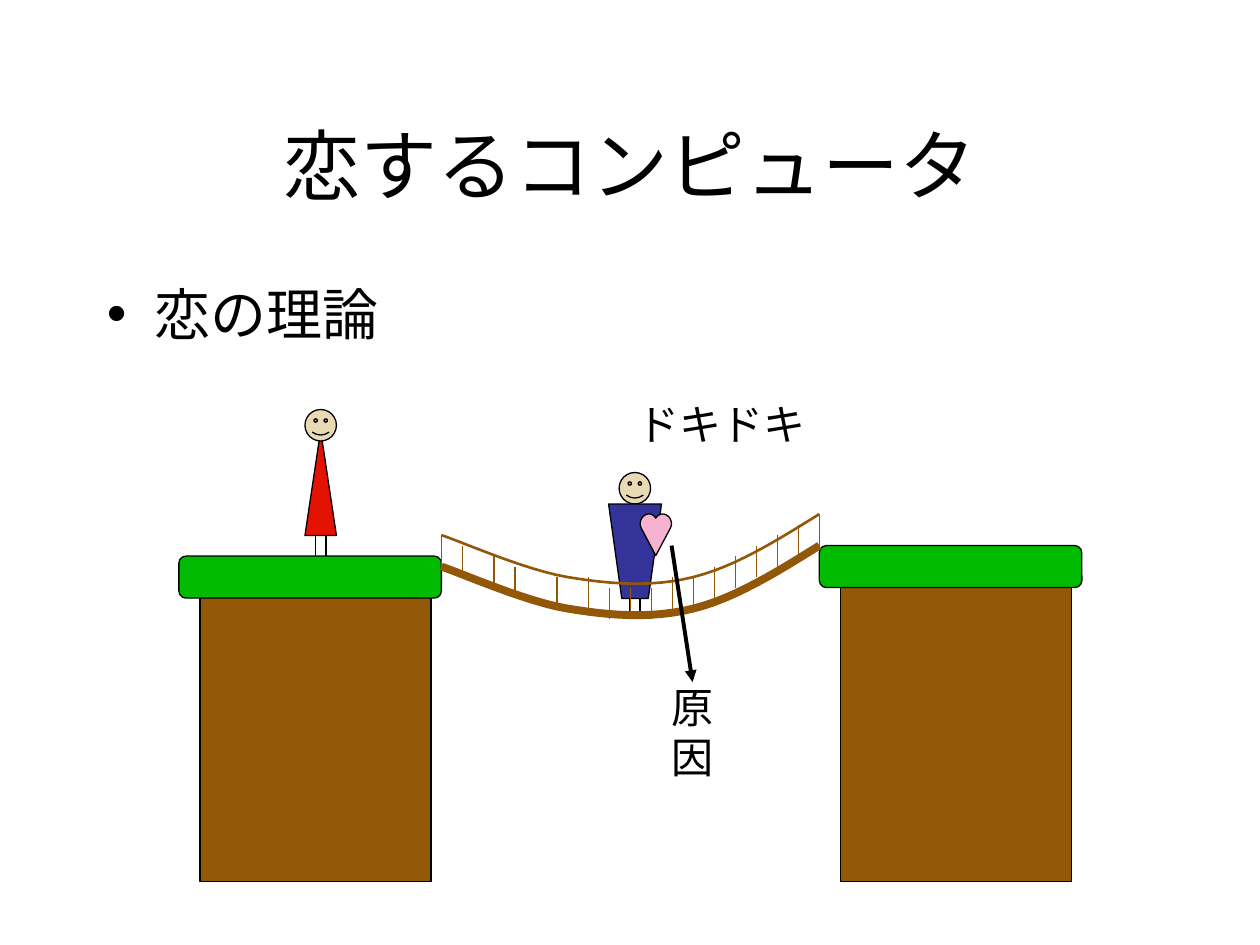
from dataclasses import dataclass

from lxml.etree import SubElement
from pptx import Presentation
from pptx.dml.color import RGBColor
from pptx.enum.lang import MSO_LANGUAGE_ID
from pptx.enum.shapes import MSO_CONNECTOR, MSO_SHAPE
from pptx.enum.text import MSO_ANCHOR, PP_ALIGN
from pptx.oxml.ns import qn
from pptx.util import Inches, Pt


@dataclass(frozen=True)
class Theme:
    font: str = "Arial"
    ink: str = "000000"
    skin: str = "E8DAB5"
    suit: str = "333399"
    dress: str = "E31202"
    grass: str = "00BB00"
    earth: str = "935708"
    heart: str = "F6B2D0"
    title: int = 44
    body: int = 32
    label: int = 24
    thin: float = 0.75
    rail: float = 1.5
    arrow: float = 2.25
    deck: float = 4.5


THEME = Theme()
UNIT = 1 / 12


@dataclass(frozen=True)
class Box:
    x: float
    y: float
    w: float
    h: float

    def inner(self, dx, dy, w, h):
        return Box(self.x + dx, self.y + dy, w, h)

    def lengths(self):
        return [Inches(v) for v in (self.x, self.y, self.w, self.h)]


def style(s, fill, line, width):
    s.shadow.inherit = False
    if fill:
        s.fill.solid()
        s.fill.fore_color.rgb = RGBColor.from_string(fill)
    else:
        s.fill.background()
    s.line.color.rgb = RGBColor.from_string(line)
    s.line.width = Pt(width)


def add_preset(shapes, kind, box, fill):
    s = shapes.add_shape(kind, *box.lengths())
    style(s, fill, THEME.ink, THEME.thin)


def add_path(shapes, points, fill, line, width):
    points = [(Inches(x), Inches(y)) for x, y in points]
    builder = shapes.build_freeform(*points[0])
    builder.add_line_segments(points[1:], close=bool(fill))
    style(builder.convert_to_shape(), fill, line, width)


def add_line(shapes, start, end, color, width):
    ends = [Inches(v) for v in (*start, *end)]
    s = shapes.add_connector(MSO_CONNECTOR.STRAIGHT, *ends)
    s.line.color.rgb = RGBColor.from_string(color)
    s.line.width = Pt(width)
    SubElement(s._element.spPr, qn("a:effectLst"))
    return s


def curve(start, *segments, steps=12):
    points = [start]
    for b, c, d in segments:
        a = points[-1]
        for i in range(1, steps + 1):
            t = i / steps
            u = 1 - t
            weights = (u**3, 3 * u * u * t, 3 * u * t * t, t**3)
            points.append(tuple(
                sum(k * q[axis] for k, q in zip(weights, (a, b, c, d)))
                for axis in (0, 1)))
    return points


def add_text(shapes, box, text, size, wrap=False):
    tf = shapes.add_textbox(*box.lengths()).text_frame
    tf.word_wrap = wrap
    tf.text = text
    font = tf.paragraphs[0].runs[0].font
    font.name = THEME.font
    font.size = Pt(size)
    font.color.rgb = RGBColor.from_string(THEME.ink)
    font.language_id = MSO_LANGUAGE_ID.JAPANESE
    return tf


def add_title(shapes, box, text):
    tf = add_text(shapes, box, text, THEME.title, wrap=True)
    tf.vertical_anchor = MSO_ANCHOR.MIDDLE
    tf.paragraphs[0].alignment = PP_ALIGN.CENTER


def add_bullet(shapes, box, text):
    tf = add_text(shapes, box, text, THEME.body, wrap=True)
    pPr = tf.paragraphs[0]._p.get_or_add_pPr()
    pPr.set("marL", str(Inches(0.38)))
    pPr.set("indent", str(-Inches(0.38)))
    SubElement(pPr, qn("a:buFont"), typeface=THEME.font)
    SubElement(pPr, qn("a:buChar"), char="•")


def add_head(shapes, box):
    add_preset(shapes, MSO_SHAPE.SMILEY_FACE, box, THEME.skin)


def add_legs(shapes, box):
    for dx in (UNIT, 2 * UNIT):
        x = box.x + dx
        add_line(shapes, (x, box.y), (x, box.y + box.h), THEME.ink, THEME.thin)


def add_man(shapes, box):
    g = shapes.add_group_shape().shapes
    add_head(g, box.inner(UNIT, 0, 0.25, 0.25))
    add_legs(g, box.inner(UNIT, 1, 0.25, 2 * UNIT))
    top, bottom, taper = box.y + 0.25, box.y + 1, box.w / 4
    right = box.x + box.w
    coat = [(box.x, top), (right, top), (right - taper, bottom), (box.x + taper, bottom)]
    add_path(g, coat, THEME.suit, THEME.ink, THEME.thin)


def add_woman(shapes, box):
    g = shapes.add_group_shape().shapes
    add_preset(g, MSO_SHAPE.ISOSCELES_TRIANGLE,
               box.inner(0, 2 * UNIT, box.w, 10 * UNIT), THEME.dress)
    add_head(g, box.inner(0, 0, box.w, 0.25))
    add_legs(g, box.inner(0, 1, box.w, 2 * UNIT))


def add_cliff(shapes, box, earth_top):
    add_preset(shapes, MSO_SHAPE.RECTANGLE,
               box.inner(2 * UNIT, earth_top, box.w - 3 * UNIT, box.h - earth_top),
               THEME.earth)
    add_preset(shapes, MSO_SHAPE.ROUNDED_RECTANGLE,
               box.inner(0, 0, box.w, 4 * UNIT), THEME.grass)


def add_bridge(shapes, box):
    def at(x, y):
        return box.x + x * UNIT, box.y + y * UNIT

    def rope(drop, width):
        knots = [[(32, 2.5), (28, 5), (24, 6)], [(20, 7), (16, 6.67), (12, 6)],
                 [(8, 5.33), (2, 2.67), (0, 2)]]
        segments = [[at(x, y + drop) for x, y in k] for k in knots]
        add_path(shapes, curve(at(36, drop), *segments), None, THEME.earth, width)

    rope(3, THEME.deck)
    rope(0, THEME.rail)
    columns = [0, 2, 5, 7, 11, *range(14, 37, 2)]
    tops = [2, 3, 4, 5, 6, 6, 7, 7, 7, 6, 6, 5, 4, 3, 2, 1, 0]
    for x, y in zip(columns, tops):
        add_line(shapes, at(x, y), at(x, y + 3), THEME.earth, THEME.thin)


def add_landscape(shapes, box):
    g = shapes.add_group_shape().shapes
    add_cliff(g, box.inner(0, 4 * UNIT, 25 * UNIT, 31 * UNIT), UNIT)
    add_cliff(g, box.inner(61 * UNIT, 3 * UNIT, 25 * UNIT, 32 * UNIT), 2 * UNIT)
    add_bridge(g, box.inner(25 * UNIT, 0, 3, 7 * UNIT))


def add_heart(shapes, box):
    lobe = curve((0.03, 0.33), [(-0.06, 0.16), (0.1, 0), (0.28, 0)],
                 [(0.38, 0), (0.45, 0.04), (0.5, 0.1)])
    mirrored = [(1 - x, y) for x, y in reversed(lobe[:-1])]
    outline = [(box.x + x * box.w, box.y + y * box.h)
               for x, y in [(0.5, 1), *lobe, *mirrored]]
    add_path(shapes, outline, THEME.heart, THEME.ink, THEME.thin)


def add_cause(shapes, box):
    s = add_line(shapes, (box.x, box.y), (box.x + 2 * UNIT, box.y + 13 * UNIT),
                 THEME.ink, THEME.arrow)
    SubElement(s.line._get_or_add_ln(), qn("a:tailEnd"), type="triangle")
    add_text(shapes, box.inner(-0.1, 1.03, box.w, 0.5), "原因", THEME.label)


def main():
    prs = Presentation()
    prs.slide_width, prs.slide_height = Inches(10), Inches(7.5)
    shapes = prs.slides.add_slide(prs.slide_layouts[6]).shapes
    add_man(shapes, Box(4.83, 3.75, 0.42, 1.17))
    add_title(shapes, Box(0.75, 0.67, 8.5, 1.25), "恋するコンピュータ")
    add_bullet(shapes, Box(0.75, 2.17, 8.5, 4.5), "恋の理論")
    add_landscape(shapes, Box(1.42, 4.08, 7.17, 2.92))
    add_woman(shapes, Box(2.42, 3.25, 0.25, 1.17))
    add_heart(shapes, Box(5.08, 4.08, 0.25, 0.33))
    add_text(shapes, Box(4.96, 3.11, 1.53, 0.5), "ドキドキ", THEME.label)
    add_cause(shapes, Box(5.33, 4.33, 0.86, 1.53))
    prs.save("out.pptx")


if __name__ == "__main__":
    main()
